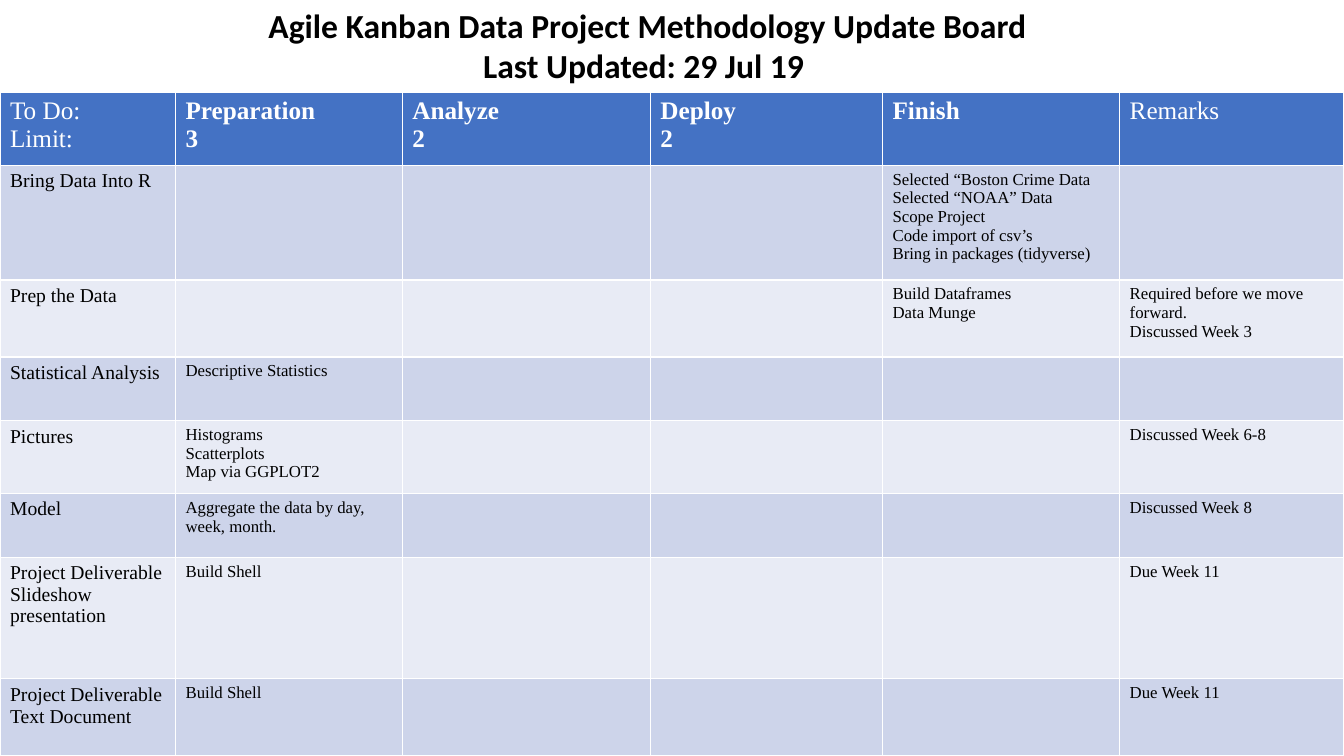
"""Build a one-slide Kanban update board for a data project."""
from pptx import Presentation
from pptx import util as u
from pptx.dml import color
from pptx.enum import text

TITLE = "Agile Kanban Data Project Methodology Update Board\nLast Updated: 29 Jul 19 "
HEADER = ["To Do:\nLimit:", "Preparation\n3", "Analyze\n2", "Deploy\n2", "Finish", "Remarks"]
BOLD_HEADERS = range(1, 5)
TASKS = [
    {"task": "Bring Data Into R",
     "finish": "Selected “Boston Crime Data\nSelected “NOAA” Data\nScope Project\n"
               "Code import of csv’s\nBring in packages (tidyverse)"},
    {"task": "Prep the Data", "finish": "Build Dataframes\nData Munge",
     "remarks": "Required before we move forward.\nDiscussed Week 3"},
    {"task": "Statistical Analysis", "preparation": "Descriptive Statistics"},
    {"task": "Pictures", "preparation": "Histograms\nScatterplots\nMap via GGPLOT2",
     "remarks": "Discussed Week 6-8"},
    {"task": "Model", "preparation": "Aggregate the data by day, week, month.",
     "remarks": "Discussed Week 8"},
    {"task": "Project Deliverable\nSlideshow presentation", "preparation": "Build Shell",
     "remarks": "Due Week 11"},
    {"task": "Project Deliverable\nText Document", "preparation": "Build Shell",
     "remarks": "Due Week 11"},
]
STAGES = ["task", "preparation", "analyze", "deploy", "finish", "remarks"]
COLUMN_WIDTHS = [125.4, 162, 177.2, 165.8, 169.4, 160.2]
ROW_HEIGHTS = [52, 82, 55, 45.5, 52, 45.5, 87, 55]
BOARD_TOP = 66
HEADER_FILL = "4472C4"
BAND_FILLS = ["CDD4EA", "E8EBF5"]


def rgb(value):
    return color.RGBColor.from_string(value)


def write(frame, words, font, size, ink, bold=False, align=None):
    frame.text = words
    for para in frame.paragraphs:
        para.alignment = align
        for span in para.runs:
            span.font.name = font
            span.font.size = u.Pt(size)
            span.font.bold = bold
            span.font.color.rgb = rgb(ink)


def fill_cell(cell, words, fill, size, ink, bold=False):
    cell.fill.solid()
    cell.fill.fore_color.rgb = rgb(fill)
    if words:
        write(cell.text_frame, words, "Times New Roman", size, ink, bold)


def add_board(page):
    width, height = sum(COLUMN_WIDTHS), sum(ROW_HEIGHTS)
    board = page.shapes.add_table(
        len(ROW_HEIGHTS), len(COLUMN_WIDTHS),
        u.Pt(0), u.Pt(BOARD_TOP), u.Pt(width), u.Pt(height)).table
    for column, size in zip(board.columns, COLUMN_WIDTHS):
        column.width = u.Pt(size)
    for row, size in zip(board.rows, ROW_HEIGHTS):
        row.height = u.Pt(size)
    for col, words in enumerate(HEADER):
        fill_cell(board.cell(0, col), words, HEADER_FILL, 18, "FFFFFF", col in BOLD_HEADERS)
    for row, task in enumerate(TASKS):
        for col, stage in enumerate(STAGES):
            fill_cell(board.cell(row + 1, col), task.get(stage, ""), BAND_FILLS[row % 2],
                      14 if stage == "task" else 12, "000000")


def add_title(page):
    box = page.shapes.add_textbox(u.Pt(124.5), u.Pt(0), u.Pt(676), u.Pt(65.5))
    box.text_frame.word_wrap = True
    write(box.text_frame, TITLE, "Calibri", 24, "000000", True, text.PP_ALIGN.CENTER)


def main():
    deck = Presentation()
    deck.slide_width, deck.slide_height = u.Pt(960), u.Pt(540)
    page = deck.slides.add_slide(deck.slide_layouts[6])
    add_board(page)
    add_title(page)
    deck.save("out.pptx")


if __name__ == "__main__":
    main()
